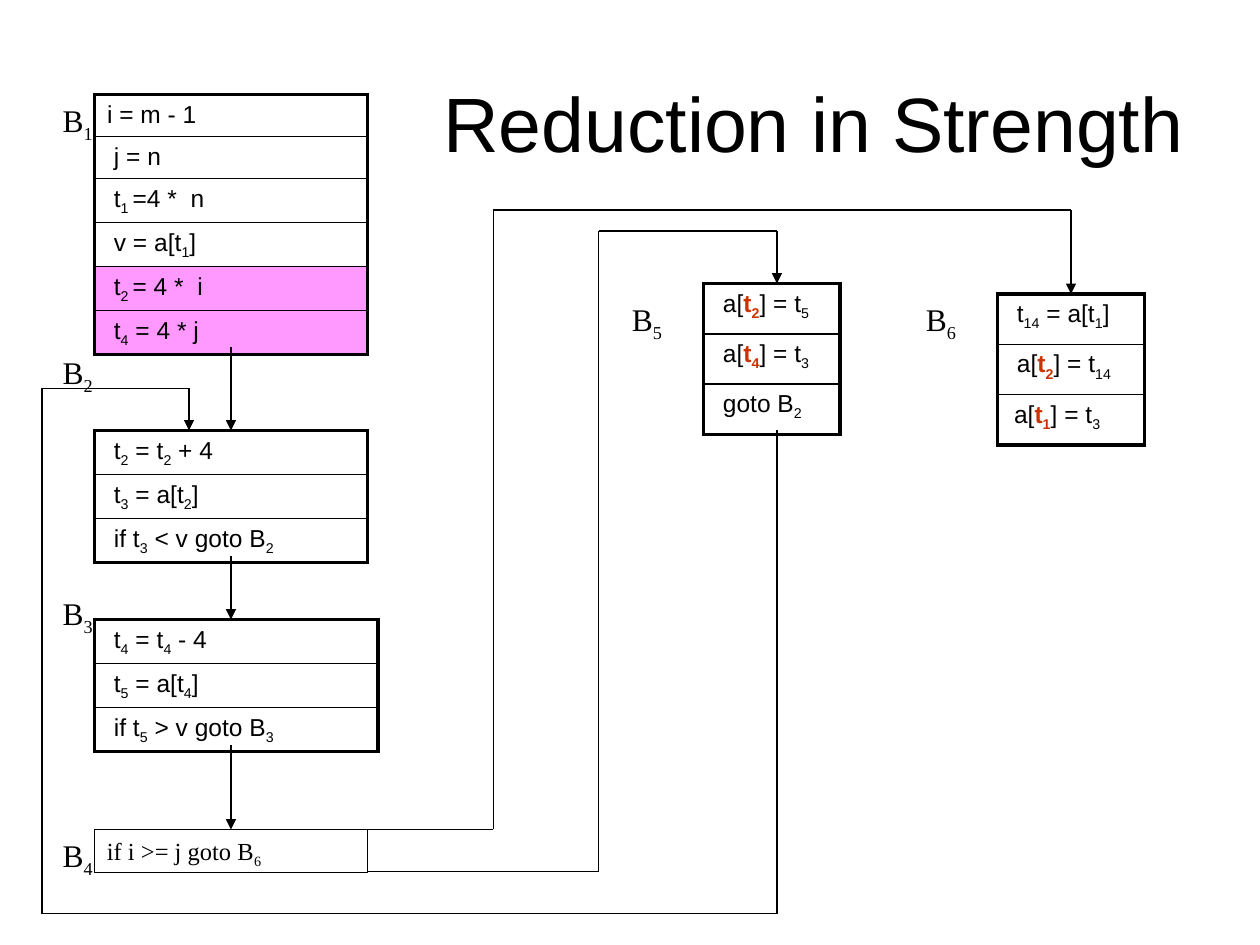
from itertools import pairwise

from lxml import etree
from pptx import Presentation, util as u
from pptx.dml.color import RGBColor
from pptx.enum import shapes, text
from pptx.oxml import ns

PX = 9525  # EMU in one px, 96 px to the inch
HUES = {"ink": "000000", "red": "CC3300", "pink": "FF99FF", "paper": "FFFFFF"}
SANS, SERIF = "Arial", "Times New Roman"
LEFT, RIGHT = text.PP_ALIGN.LEFT, text.PP_ALIGN.RIGHT


def hue(name):
    return RGBColor.from_string(HUES[name])


def add_xml(parent, tag, **attrs):
    return etree.SubElement(parent, ns.qn(tag), attrs)


class Board:
    """Holds the style and the slide being drawn."""

    thick, thin, line = 2.25, 1, 0.75

    def __init__(self, slide):
        self.slide = slide

    def box(self, *spans):
        return [n * PX for n in spans]

    def letter(self, frame, words, face, size, align=LEFT):
        """Fill a frame; ~ toggles subscript and ^ toggles red bold."""
        form = {"word_wrap": True, "vertical_anchor": text.MSO_ANCHOR.TOP}
        for key, value in form.items():
            setattr(frame, key, value)
        para = frame.paragraphs[0]
        para.alignment = align
        for i, part in enumerate(words.split("^")):
            for j, piece in enumerate(part.split("~")):
                if not piece:
                    continue
                run = para.add_run()
                run.text = piece
                font = {"name": face, "size": u.Pt(size), "bold": i % 2 == 1}
                for key, value in font.items():
                    setattr(run.font, key, value)
                run.font.color.rgb = hue("red" if i % 2 else "ink")
                if j % 2:
                    run.font._element.set("baseline", "-25000")

    def title(self, words, *spans):
        shape = self.slide.shapes.title
        place = dict(zip(("left", "top", "width", "height"), self.box(*spans)))
        for key, value in place.items():
            setattr(shape, key, value)
        self.letter(shape.text_frame, words, SANS, 44, RIGHT)
        shape.text_frame.vertical_anchor = text.MSO_ANCHOR.MIDDLE

    def edge(self, cell, side, width):
        line = add_xml(cell._tc.get_or_add_tcPr(), f"a:ln{side}",
                       w=str(u.Pt(width)))
        fill = add_xml(line, "a:solidFill")
        add_xml(fill, "a:srgbClr", val=HUES["ink"])

    def block(self, left, top, width, height, rows, pink=()):
        """Draw a basic block as a table with one statement in each row."""
        count = len(rows)
        frame = self.slide.shapes.add_table(
            count, 1, *self.box(left, top, width, height))
        table = frame.table
        table.first_row = table.horz_banding = False
        for i, words in enumerate(rows):
            cell = table.cell(i, 0)
            sides = {"L": self.thick, "R": self.thick,
                     "T": self.thin if i else self.thick,
                     "B": self.thin if i < count - 1 else self.thick}
            for side, size in sides.items():
                self.edge(cell, side, size)
            cell.fill.solid()
            cell.fill.fore_color.rgb = hue("pink" if i in pink else "paper")
            self.letter(cell.text_frame, words, SANS, 14)

    def test(self, words, *spans):
        """Draw the one-line block that only holds a condition."""
        shape = self.slide.shapes.add_shape(
            shapes.MSO_SHAPE.RECTANGLE, *self.box(*spans))
        shape.shadow.inherit = False
        shape.fill.background()
        shape.line.color.rgb = hue("ink")
        shape.line.width = u.Pt(self.line)
        self.letter(shape.text_frame, words, SERIF, 14)

    def label(self, num, left, top, align):
        shape = self.slide.shapes.add_textbox(*self.box(left, top, 80, 38))
        self.letter(shape.text_frame, f"B~{num}~", SERIF, 18, align)

    def route(self, *stops):
        """Join the stops with straight lines and end in an arrowhead."""
        for start, end in pairwise(stops):
            line = self.slide.shapes.add_connector(
                shapes.MSO_CONNECTOR.STRAIGHT, *self.box(*start, *end))
            line.line.color.rgb = hue("ink")
            line.line.width = u.Pt(self.line)
            if end == stops[-1]:
                add_xml(line.line._get_or_add_ln(), "a:tailEnd",
                        type="triangle")
            add_xml(line._element.spPr, "a:effectLst")


def main():
    deck = Presentation()
    deck.slide_width, deck.slide_height = 960 * PX, 720 * PX
    board = Board(deck.slides.add_slide(deck.slide_layouts[5]))
    board.title("Reduction in Strength", 48, 21, 864, 144)

    board.block(72, 72, 208, 192, [
        "i = m - 1", " j = n", " t~1 ~=4 *  n", " v = a[t~1~]",
        " t~2 ~= 4 *  i", " t~4~ = 4 * j"], pink=(4, 5))
    board.block(72, 328, 208, 96, [
        " t~2~ = t~2~ + 4", " t~3~ = a[t~2~]", " if t~3~ < v goto B~2~"])
    board.block(72, 472, 216, 96, [
        " t~4~ = t~4~ - 4", " t~5~ = a[t~4~]", " if t~5~ > v goto B~3~"])
    board.test("if i >= j goto B~6~", 72, 632, 208, 33)
    board.block(536, 216, 104, 115, [
        " a[^t~2~^] = t~5~", " a[^t~4~^] = t~3~", " goto B~2~"])
    board.block(760, 224, 112, 115, [
        " t~14~ = a[t~1~]", " a[^t~2~^] = t~14~", "~ ~a[^t~1~^] = t~3~"])

    for num, top in enumerate((72, 264, 448, 632), 1):
        board.label(num, 0, top, RIGHT)
    for num, left in ((5, 472), (6, 696)):
        board.label(num, left, 224, LEFT)

    for top, end in ((264, 328), (424, 472), (568, 632)):
        board.route((176, top), (176, end))
    board.route((280, 632), (376, 632), (376, 160), (816, 160), (816, 224))
    board.route((280, 664), (456, 664), (456, 176), (592, 176), (592, 216))
    board.route((592, 328), (592, 696), (32, 696), (32, 296), (144, 296),
                (144, 328))
    deck.save("out.pptx")


if __name__ == "__main__":
    main()
